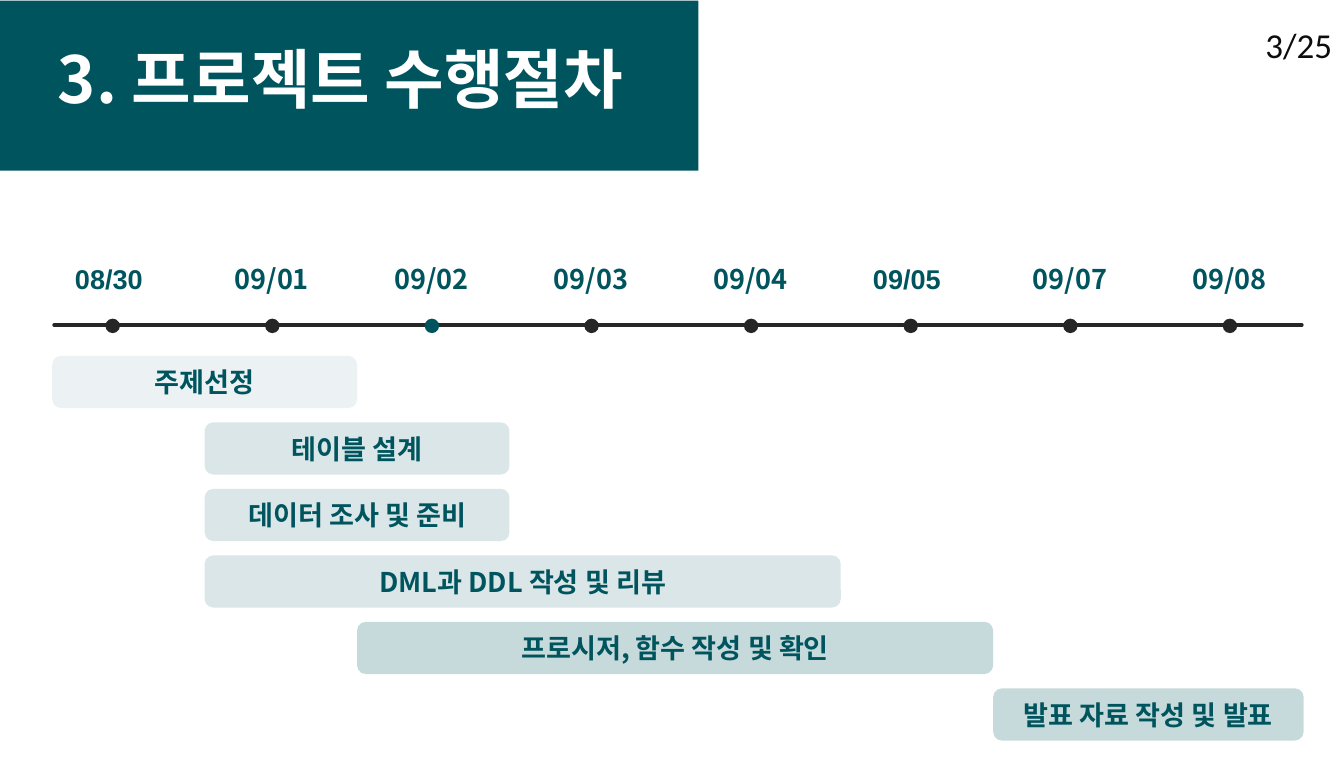
import pptx
import pptx.dml.color
import pptx.enum.shapes
import pptx.enum.text
import pptx.oxml
import pptx.oxml.ns
import pptx.util
from lxml import etree

Inches = pptx.util.Inches
SHAPE = pptx.enum.shapes.MSO_SHAPE
ALIGN = pptx.enum.text.PP_ALIGN
ANCHOR = pptx.enum.text.MSO_ANCHOR

THEME = {
    "teal": "00545E", "bar": "46858A", "dark": "262626", "white": "FFFFFF", "number": "0D0D0D",
    "title_size": 74, "label_size": 31, "number_size": 40,
    "font": "Noto Sans CJK KR", "date_font": "Arial", "number_font": "Calibri",
}


def write(shape, text, size, color, font=THEME["font"], bold=True, align=ALIGN.LEFT, anchor=ANCHOR.MIDDLE):
    """Put one formatted line in a shape, with the same font for Latin and Korean."""
    frame = shape.text_frame
    frame.text = text
    frame.vertical_anchor = anchor
    para = frame.paragraphs[0]
    para.alignment = align
    span = para.runs[0]
    span.font.size = pptx.util.Pt(size)
    span.font.bold = bold
    span.font.name = font
    span.font.color.rgb = pptx.dml.color.RGBColor.from_string(color)
    korean = etree.SubElement(span.font._element, pptx.oxml.ns.qn("a:ea"))
    korean.set("typeface", font)


def paint(shape, color, opacity=100):
    """Give a shape a flat fill without line; opacity is in percent."""
    shape.fill.solid()
    shape.fill.fore_color.rgb = pptx.dml.color.RGBColor.from_string(color)
    shape.line.fill.background()
    if opacity < 100:
        solid = shape._element.spPr.find(pptx.oxml.ns.qn("a:solidFill"))
        alpha = etree.SubElement(solid[0], pptx.oxml.ns.qn("a:alpha"))
        alpha.set("val", str(opacity * 1000))


deck = pptx.Presentation()
deck.slide_width = Inches(21.34)
deck.slide_height = Inches(12.02)
page = deck.slides.add_slide(deck.slide_layouts[5])
shapes = page.shapes

# Title band
title = shapes.title
title.left, title.top, title.width, title.height = Inches(0), Inches(0.01), Inches(11.09), Inches(2.7)
paint(title, THEME["teal"])
write(title, "3. 프로젝트 수행절차", THEME["title_size"], THEME["white"])
title.text_frame.auto_size = pptx.enum.text.MSO_AUTO_SIZE.NONE
title.text_frame.margin_left = Inches(0.92)
title.text_frame.margin_right = title.text_frame.margin_top = 0
title.text_frame.margin_bottom = Inches(0.24)

# Time axis
AXIS_Y = 5.16
axis = shapes.add_connector(pptx.enum.shapes.MSO_CONNECTOR.STRAIGHT,
                            Inches(0.86), Inches(AXIS_Y), Inches(20.67), Inches(AXIS_Y))
axis.line.width = Inches(0.06)
axis.line.color.rgb = pptx.dml.color.RGBColor.from_string(THEME["dark"])
axis.line._get_or_add_ln().set("cap", "rnd")
etree.SubElement(axis._element.spPr, pptx.oxml.ns.qn("a:effectLst"))

# Dates, evenly spaced along the axis
FIRST_DATE, LAST_DATE, DOT = 1.79, 19.53, 0.23
DATES = ["08/30", "09/01", "09/02", "09/03", "09/04", "09/05", "09/07", "09/08"]
ARIAL_DATES = ("08/30", "09/05")
CURRENT_DATE = "09/02"
date_step = (LAST_DATE - FIRST_DATE) / (len(DATES) - 1)
for column, date in enumerate(DATES):
    center = FIRST_DATE + column * date_step
    dot = shapes.add_shape(SHAPE.OVAL, Inches(center - DOT / 2), Inches(5.06), Inches(DOT), Inches(DOT))
    dot.shadow.inherit = False
    paint(dot, THEME["teal"] if date == CURRENT_DATE else THEME["dark"])
    label = shapes.add_textbox(Inches(center - 0.6), Inches(4.05), Inches(1.19), Inches(0.64))
    frame = label.text_frame
    frame.margin_left = frame.margin_right = frame.margin_top = frame.margin_bottom = 0
    font = THEME["date_font"] if date in ARIAL_DATES else THEME["font"]
    write(label, date, THEME["label_size"], THEME["teal"], font, anchor=ANCHOR.BOTTOM)

# Task bars: text, first edge, last edge, opacity
EDGES = [0.83, 3.25, 5.67, 8.09, 13.35, 15.77, 20.7]
TASKS = [
    ("주제선정", 0, 2, 10),
    ("테이블 설계", 1, 3, 20),
    ("데이터 조사 및 준비", 1, 3, 20),
    ("DML과 DDL 작성 및 리뷰", 1, 4, 20),
    ("프로시저, 함수 작성 및 확인", 2, 5, 30),
    ("발표 자료 작성 및 발표", 5, 6, 30),
]
FIRST_ROW, ROW_STEP, BAR_HEIGHT = 5.65, 1.056, 0.83
for row, (task, start, end, opacity) in enumerate(TASKS):
    bar = shapes.add_shape(SHAPE.ROUNDED_RECTANGLE, Inches(EDGES[start]), Inches(FIRST_ROW + row * ROW_STEP),
                           Inches(EDGES[end] - EDGES[start]), Inches(BAR_HEIGHT))
    bar.shadow.inherit = False
    paint(bar, THEME["bar"], opacity)
    write(bar, task, THEME["label_size"], THEME["teal"], align=ALIGN.CENTER)

# Page number
number = shapes.add_textbox(Inches(18.5), Inches(0.09), Inches(2.75), Inches(1.23))
number.text_frame.word_wrap = True
write(number, "3/25", THEME["number_size"], THEME["number"], THEME["number_font"], bold=False, align=ALIGN.RIGHT)

deck.save("out.pptx")
